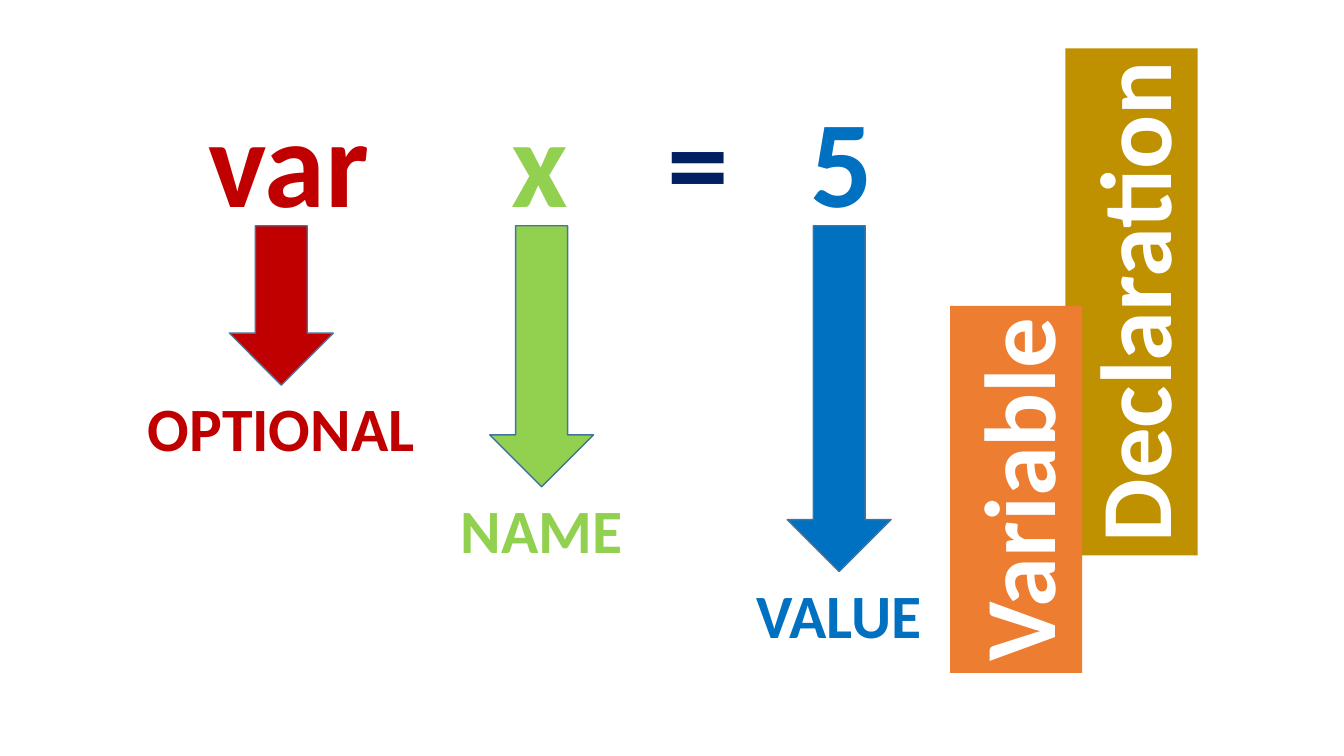
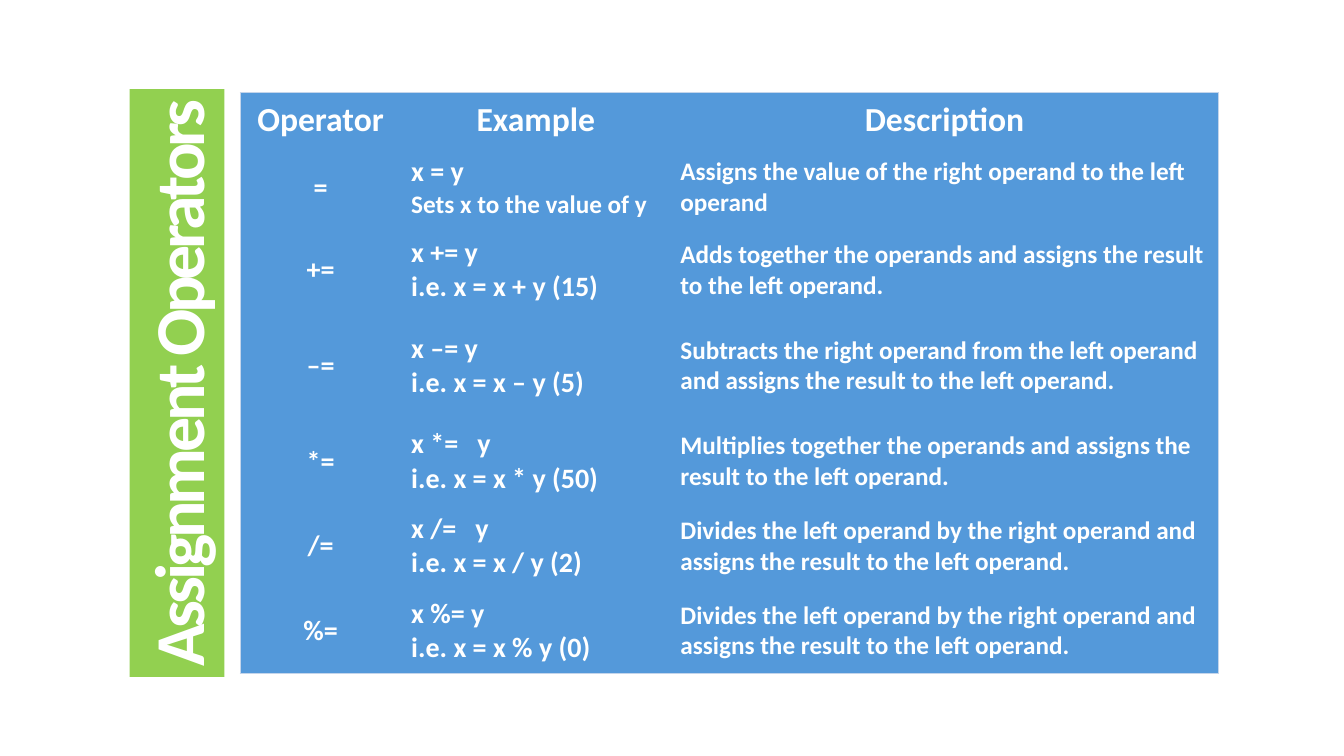
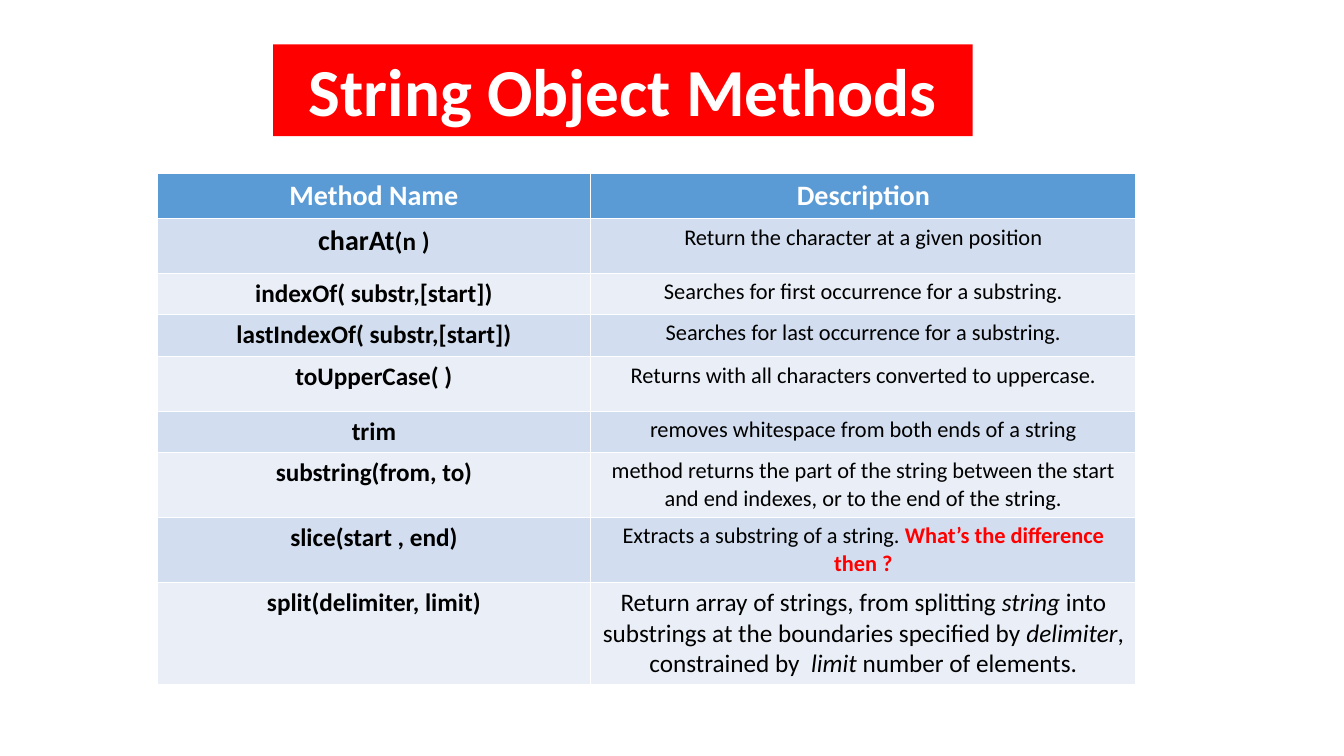
from lxml import etree
from pptx import Presentation
from pptx.dml.color import RGBColor
from pptx.enum.shapes import MSO_SHAPE
from pptx.enum.text import MSO_ANCHOR, MSO_AUTO_SIZE, PP_ALIGN
from pptx.oxml import parse_xml
from pptx.oxml.ns import nsdecls, qn
from pptx.util import Emu, Inches, Pt


class Theme:
    font = "Calibri"
    white, black = "FFFFFF", "000000"
    crimson, green, blue, navy = "C00000", "92D050", "0070C0", "002060"
    gold, orange, red = "BF9000", "ED7D31", "FF0000"
    arrow_line, operator_fill, operator_edge = "43739E", "5499DA", "C4D5EB"
    header_fill, bands = "5B9BD5", ("D2DEEF", "EAEFF7")
    code, poster, headline, tight_headline, label = 88, 72, 48, 50, 44
    operator_header, large, medium, small = 24, 20, 18, 16


deck = Presentation()
deck.slide_width, deck.slide_height = Inches(13.33), Inches(7.5)
COLUMN, ROW = deck.slide_width / 100, deck.slide_height / 100
TITLE_ONLY, BLANK = deck.slide_layouts[5], deck.slide_layouts[6]


def grid(left, top, width, height):
    """Turn hundredths of the slide's width and height into lengths."""
    return [Emu(round(share * unit)) for share, unit in
            zip((left, top, width, height), (COLUMN, ROW, COLUMN, ROW))]


def write(para, spans, size, color, bold=True, align=PP_ALIGN.CENTER):
    """Fill a paragraph; a span is a string or (text, {font attribute: value})."""
    para.alignment = align
    para.font.name, para.font.size, para.font.bold = Theme.font, Pt(size), bold
    para.font.color.rgb = RGBColor.from_string(color)
    for item in [spans] if isinstance(spans, str) else spans:
        text, changes = (item, {}) if isinstance(item, str) else item
        span = para.add_run()
        span.text = text
        for name, value in changes.items():
            if name == "color":
                span.font.color.rgb = RGBColor.from_string(value)
            else:
                setattr(span.font, name, value)


declaration_page = deck.slides.add_slide(BLANK)
operator_page = deck.slides.add_slide(TITLE_ONLY)
method_page = deck.slides.add_slide(TITLE_ONLY)

# Coloured title banners; upright ones read from bottom to top
declaration_banner, variable_banner = [
    declaration_page.shapes.add_shape(MSO_SHAPE.RECTANGLE, 0, 0, 0, 0) for _ in range(2)]
banners = [
    (declaration_banner, "Declaration", Theme.poster, Theme.gold, (79.28, 6.4, 9.83, 67.07), True),
    (variable_banner, "Variable", Theme.poster, Theme.orange, (70.69, 40.47, 9.83, 48.53), True),
    (operator_page.shapes.title, "Assignment Operators", Theme.tight_headline, Theme.green,
     (9.64, 11.8, 7.05, 77.73), True),
    (method_page.shapes.title, "String Object Methods", Theme.headline, Theme.red,
     (20.33, 5.87, 52.05, 12.13), False),
]
for banner, text, size, fill, area, upright in banners:
    left, top, width, height = grid(*area)
    if upright:
        left, top = left + (width - height) // 2, top + (height - width) // 2
        width, height = height, width
        banner.rotation = 270
    banner.left, banner.top, banner.width, banner.height = left, top, width, height
    banner.fill.solid()
    banner.fill.fore_color.rgb = RGBColor.from_string(fill)
    banner.line.fill.background()
    if not banner.is_placeholder:
        banner.shadow.inherit = False
    frame = banner.text_frame
    frame.word_wrap, frame.auto_size = False, MSO_AUTO_SIZE.NONE
    frame.vertical_anchor = MSO_ANCHOR.TOP
    write(frame.paragraphs[0], text, size, Theme.white)
    if size == Theme.tight_headline:
        frame.paragraphs[0].runs[0]._r.get_or_add_rPr().set("spc", "-300")

# Slide 1: the statement and what each part means
statement = declaration_page.shapes.add_textbox(*grid(14.78, 10.53, 51.6, 21.07))
statement.text_frame.word_wrap = True
para = statement.text_frame.paragraphs[0]
tabs = etree.SubElement(para._p.get_or_add_pPr(), qn("a:tabLst"))
for stop in (3, 4.55, 5.97):
    etree.SubElement(tabs, qn("a:tab"), pos=str(Inches(stop)), algn="l")
write(para, ["var\t", ("x\t", {"color": Theme.green}), ("=\t", {"color": Theme.navy}),
             ("5", {"color": Theme.blue})], Theme.code, Theme.crimson, align=PP_ALIGN.LEFT)

ARROW_TOP, ARROW_WIDTH, LABEL_WIDTH, LABEL_HEIGHT = 29.87, 7.73, 22.5, 11.2
for text, color, center, length in [("OPTIONAL", Theme.crimson, 20.93, 21.07),
                                    ("NAME", Theme.green, 40.3, 34.53),
                                    ("VALUE", Theme.blue, 62.44, 45.73)]:
    arrow = declaration_page.shapes.add_shape(
        MSO_SHAPE.DOWN_ARROW, *grid(center - ARROW_WIDTH / 2, ARROW_TOP, ARROW_WIDTH, length))
    arrow.shadow.inherit = False
    arrow.fill.solid()
    arrow.fill.fore_color.rgb = RGBColor.from_string(color)
    arrow.line.color.rgb = RGBColor.from_string(Theme.arrow_line)
    arrow.line.width = Pt(1)
    label = declaration_page.shapes.add_textbox(
        *grid(center - LABEL_WIDTH / 2, ARROW_TOP + length, LABEL_WIDTH, LABEL_HEIGHT))
    label.text_frame.word_wrap = True
    write(label.text_frame.paragraphs[0], text, Theme.label, color)

# Slide 2: one flat panel, with a line around the outside only
operators = [
    ("Operator", ["Example"], "Description"),
    ("=", ["x = y", "Sets x to the value of y"],
     "Assigns the value of the right operand to the left operand"),
    ("+=", ["x += y", "i.e. x = x + y (15)"],
     "Adds together the operands and assigns the result to the left operand."),
    ("–=", ["x –= y", "i.e. x = x – y (5)"],
     "Subtracts the right operand from the left operand and assigns the result to the left operand."),
    ("*=", ["x *=   y", "i.e. x = x * y (50)"],
     "Multiplies together the operands and assigns the result to the left operand."),
    ("/=", ["x /=   y", "i.e. x = x / y (2)"],
     "Divides the left operand by the right operand and assigns the result to the left operand."),
    ("%=", ["x %= y", "i.e. x = x % y (0)"],
     "Divides the left operand by the right operand and assigns the result to the left operand."),
]
operator_columns = [12, 20.03, 40.8]
operator_rows = [7.2, 10.67, 11.2, 14.13, 11.2, 11.2, 11.2]

# Slide 3: methods with their descriptions and description size
methods = [
    ("Method Name", "Description", Theme.large),
    ([("charAt", {"size": Pt(Theme.large)}), "(n )"],
     "Return the character at a given position", Theme.small),
    ("indexOf( substr,[start])", "Searches for first occurrence for a substring.", Theme.small),
    ("lastIndexOf( substr,[start])", "Searches for last occurrence for a substring.", Theme.small),
    ("toUpperCase( )", "Returns with all characters converted to uppercase.", Theme.small),
    ("trim", "removes whitespace from both ends of a string", Theme.small),
    ("substring(from, to)", "method returns the part of the string between the start and end "
     "indexes, or to the end of the string.", Theme.small),
    ("slice(start , end)",
     ["Extracts a substring of a string. ",
      ("What’s the difference then ?", {"color": Theme.red, "bold": True})], Theme.small),
    ("split(delimiter, limit)",
     ["Return array of strings, from splitting ", ("string", {"italic": True}),
      " into substrings at the boundaries specified by ", ("delimiter", {"italic": True}),
      ", constrained by  ", ("limit ", {"italic": True}), "number of elements."], Theme.medium),
]
method_columns = [32.25, 40.58]
method_rows = [6, 7.2, 5.47, 5.6, 7.2, 5.47, 8.4, 8.4, 13.33]

tables = []
for page, left, top, columns, rows in [
        (operator_page, 17.85, 12.27, operator_columns, operator_rows),
        (method_page, 11.7, 22.93, method_columns, method_rows)]:
    table = page.shapes.add_table(len(rows), len(columns),
                                  *grid(left, top, sum(columns), sum(rows))).table
    for column, share in zip(table.columns, columns):
        column.width = round(share * COLUMN)
    for row, share in zip(table.rows, rows):
        row.height = round(share * ROW)
    tables.append(table)
operator_table, method_table = tables

NO_STYLE = "{2D5ABB26-0587-4C30-8999-92F81FD0307C}"
operator_table._tbl.tblPr.find(qn("a:tableStyleId")).text = NO_STYLE
operator_table.horz_banding = False
last_row, last_column = len(operator_rows) - 1, len(operator_columns) - 1
for r, (operator, examples, description) in enumerate(operators):
    for c, lines in enumerate([[operator], examples, [description]]):
        cell = operator_table.cell(r, c)
        cell.vertical_anchor = MSO_ANCHOR.MIDDLE
        cell.fill.solid()
        cell.fill.fore_color.rgb = RGBColor.from_string(Theme.operator_fill)
        for number, line in enumerate(lines):
            para = cell.text_frame.add_paragraph() if number else cell.text_frame.paragraphs[0]
            if r == 0:
                size = Theme.operator_header
            else:
                size = Theme.medium if c == 2 or line.startswith("Sets") else Theme.large
            write(para, line, size, Theme.white,
                  align=PP_ALIGN.CENTER if r == 0 or c == 0 else PP_ALIGN.LEFT)
        edges = [("lnL", c == 0), ("lnR", c == last_column), ("lnT", r == 0), ("lnB", r == last_row)]
        outer = [name for name, is_outer in edges if is_outer]
        for position, name in enumerate(outer):
            cell._tc.get_or_add_tcPr().insert(position, parse_xml(
                f'<a:{name} {nsdecls("a")} w="{Pt(0.5)}"><a:solidFill>'
                f'<a:srgbClr val="{Theme.operator_edge}"/></a:solidFill></a:{name}>'))

for r, (method, description, size) in enumerate(methods):
    fill = Theme.bands[(r - 1) % 2] if r else Theme.header_fill
    color = Theme.black if r else Theme.white
    method_size = Theme.medium if r else size
    for c, (spans, span_size) in enumerate([(method, method_size), (description, size)]):
        cell = method_table.cell(r, c)
        cell.fill.solid()
        cell.fill.fore_color.rgb = RGBColor.from_string(fill)
        write(cell.text_frame.paragraphs[0], spans, span_size, color, bold=r == 0 or c == 0)

deck.save("out.pptx")
